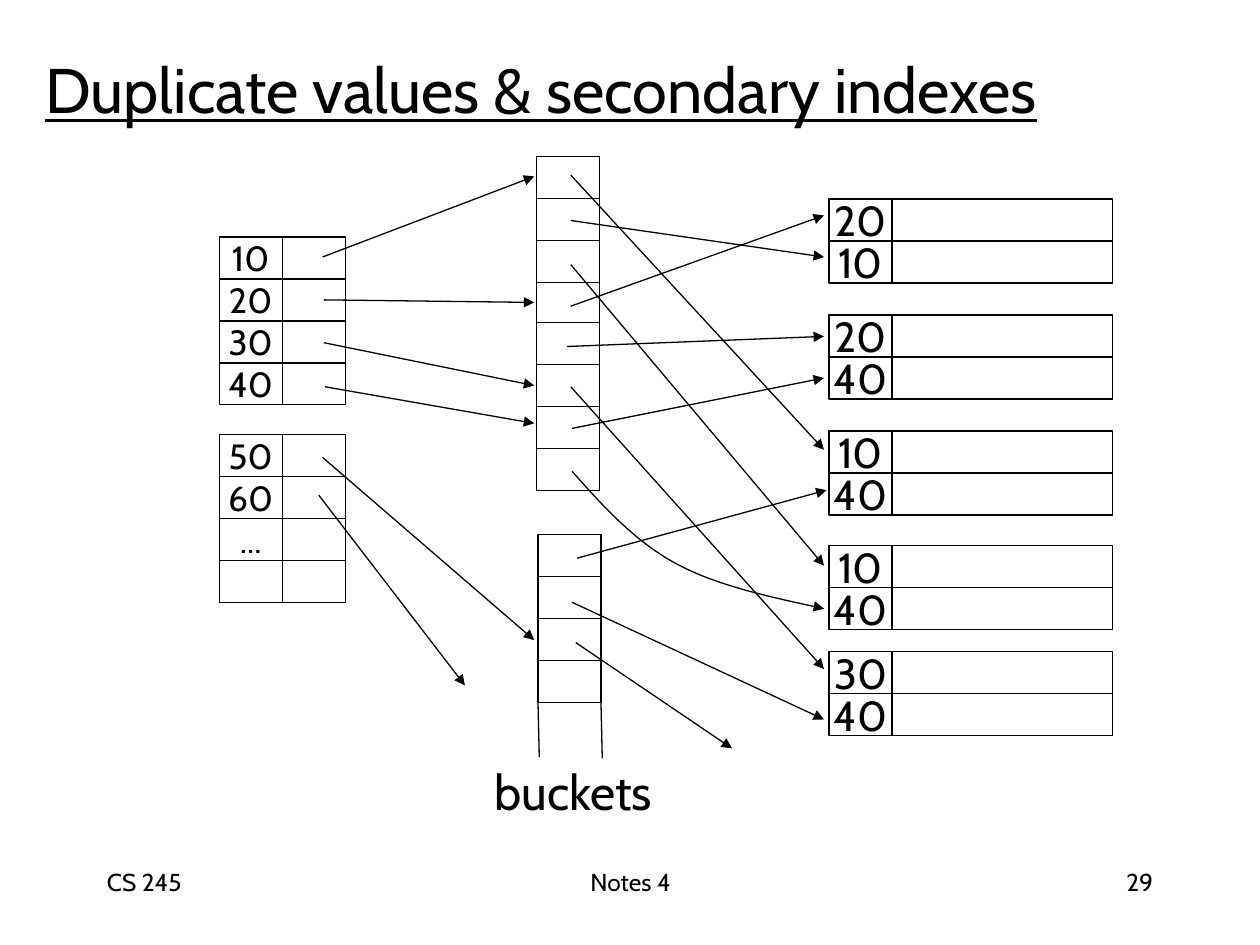
from lxml import etree
from pptx import Presentation
from pptx import util as u
from pptx.dml.color import RGBColor
from pptx.enum import shapes, text
from pptx.oxml.ns import qn

COLOURS = {"ink": "000000", "paper": "FFFFFF"}
FONT = "Cabin"
LINE_WIDTH = 0.75
CELL_WIDTH, ROW_HEIGHT = 0.5, 1 / 3
RECORD_WIDTH = 1.75
LEFT, CENTER, RIGHT = (text.PP_ALIGN.LEFT, text.PP_ALIGN.CENTER,
                       text.PP_ALIGN.RIGHT)

# Tables: left, top, column widths, text size, first-column labels
INDEX_COLUMNS = [CELL_WIDTH, CELL_WIDTH]
RECORD_COLUMNS = [CELL_WIDTH, RECORD_WIDTH]
BUCKET_COLUMNS = [CELL_WIDTH]
TABLES = [
    (1.74, 1.88, INDEX_COLUMNS, 20, ["10", "20", "30", "40"]),
    (1.74, 3.45, INDEX_COLUMNS, 20, ["50", "60", "...", ""]),
    (4.26, 1.24, BUCKET_COLUMNS, 20, [""] * 4),
    (4.26, 2.56, BUCKET_COLUMNS, 20, [""] * 4),
    (4.27, 4.24, BUCKET_COLUMNS, 20, [""] * 4),
]
RECORDS = [(1.58, ["20", "10"]), (2.5, ["20", "40"]), (3.42, ["10", "40"]),
           (4.33, ["10", "40"]), (5.17, ["30", "40"])]
RECORD_LEFT = 6.58

# Pointers: start x, start y, end x, end y
INDEX_POINTERS = [
    (2.56, 2.04, 4.24, 1.4), (2.57, 2.38, 4.24, 2.4),
    (2.57, 2.72, 4.24, 3.06), (2.58, 3.07, 4.24, 3.36),
    (2.56, 3.63, 4.24, 5.08), (2.53, 3.93, 3.69, 5.44),
]
BUCKET_POINTERS = [
    (4.53, 1.75, 6.54, 2.04), (4.53, 1.39, 6.54, 3.57),
    (4.53, 2.1, 6.54, 4.49), (4.53, 2.43, 6.54, 1.71),
    (4.5, 2.75, 6.54, 2.67), (4.53, 3.07, 6.54, 5.31),
    (4.54, 3.4, 6.54, 3), (4.54, 4.78, 6.54, 5.71),
    (4.58, 4.43, 6.56, 3.89), (4.57, 5.1, 5.81, 5.94),
]
OPEN_SIDES = [(4.27, 5.57, 4.28, 6.01), (4.77, 5.58, 4.78, 6.02)]
CURVE = [
    [(4.54, 3.74), (4.78, 4.01), (5.03, 4.29), (5.36, 4.47)],
    [(5.36, 4.47), (5.69, 4.65), (6.12, 4.74), (6.54, 4.83)],
]


def colour(name):
    return RGBColor.from_string(COLOURS[name])


def inches(*lengths):
    return [u.Inches(length) for length in lengths]


def write(shape, words, size, align, anchor, wrap=False):
    frame = shape.text_frame
    frame.word_wrap = wrap
    frame.vertical_anchor = anchor
    para = frame.paragraphs[0]
    para.text = words
    para.alignment = align
    para.font.name = FONT
    para.font.size = u.Pt(size)
    para.font.color.rgb = colour("ink")
    return para


def draw_line(shape):
    shape.line.color.rgb = colour("ink")
    shape.line.width = u.Pt(LINE_WIDTH)


def add_arrowhead(shape):
    etree.SubElement(shape.line._get_or_add_ln(), qn("a:tailEnd"),
                     type="triangle")


def add_cell(page, left, top, width, words, size):
    box = page.shapes.add_shape(shapes.MSO_SHAPE.RECTANGLE,
                                *inches(left, top, width, ROW_HEIGHT))
    box.shadow.inherit = False
    box.fill.solid()
    box.fill.fore_color.rgb = colour("paper")
    draw_line(box)
    if words:
        write(box, words, size, CENTER, text.MSO_ANCHOR.MIDDLE)


def add_cells(page, left, top, widths, size, labels):
    for row, label in enumerate(labels):
        for column, width in enumerate(widths):
            add_cell(page, left + sum(widths[:column]),
                     top + row * ROW_HEIGHT, width,
                     label if column == 0 else "", size)


def add_straight(page, ends, arrow=True):
    connector = page.shapes.add_connector(shapes.MSO_CONNECTOR.STRAIGHT,
                                          *inches(*ends))
    draw_line(connector)
    if arrow:
        add_arrowhead(connector)
    etree.SubElement(connector._element.spPr, qn("a:effectLst"))


def bezier_points(controls, steps=12):
    for step in range(1, steps + 1):
        t = step / steps
        weights = ((1 - t) ** 3, 3 * t * (1 - t) ** 2,
                   3 * t ** 2 * (1 - t), t ** 3)
        yield tuple(u.Inches(sum(w * point[axis]
                                 for w, point in zip(weights, controls)))
                    for axis in (0, 1))


def add_curve(page, segments):
    builder = page.shapes.build_freeform(*inches(*segments[0][0]))
    points = [point for segment in segments
              for point in bezier_points(segment)]
    builder.add_line_segments(points, close=False)
    curve = builder.convert_to_shape()
    curve.shadow.inherit = False
    curve.fill.background()
    draw_line(curve)
    add_arrowhead(curve)


def add_label(page, place, words, size, align, anchor, wrap=True):
    box = page.shapes.add_textbox(*inches(*place))
    write(box, words, size, align, anchor, wrap)


def add_title(page, words):
    title = page.shapes.title
    title.left, title.top, title.width, title.height = inches(
        0.26, 0.21, 8.67, 0.99)
    para = write(title, words, 36, LEFT, text.MSO_ANCHOR.MIDDLE, True)
    para.font.underline = True


def main():
    deck = Presentation()
    deck.slide_width, deck.slide_height = inches(10, 7.5)
    page = deck.slides.add_slide(deck.slide_layouts[5])
    add_title(page, "Duplicate values & secondary indexes")

    # Records, index blocks and buckets
    for top, keys in RECORDS:
        add_cells(page, RECORD_LEFT, top, RECORD_COLUMNS, 24, keys)
    for table in TABLES:
        add_cells(page, *table)

    # Open end of the last bucket, then the pointers
    for ends in OPEN_SIDES:
        add_straight(page, ends, arrow=False)
    for ends in INDEX_POINTERS + BUCKET_POINTERS:
        add_straight(page, ends)
    add_curve(page, CURVE)

    # Caption and footer
    add_label(page, (3.74, 5.99, 1.62, 0.57), "buckets", 28, CENTER,
              text.MSO_ANCHOR.MIDDLE, wrap=False)
    for left, width, words, align in [(0.75, 2.08, "CS 245", LEFT),
                                      (3.42, 3.17, "Notes 4", CENTER),
                                      (7.17, 2.08, "29", RIGHT)]:
        add_label(page, (left, 6.83, width, 0.5), words, 14, align,
                  text.MSO_ANCHOR.TOP)

    deck.save("out.pptx")


if __name__ == "__main__":
    main()
